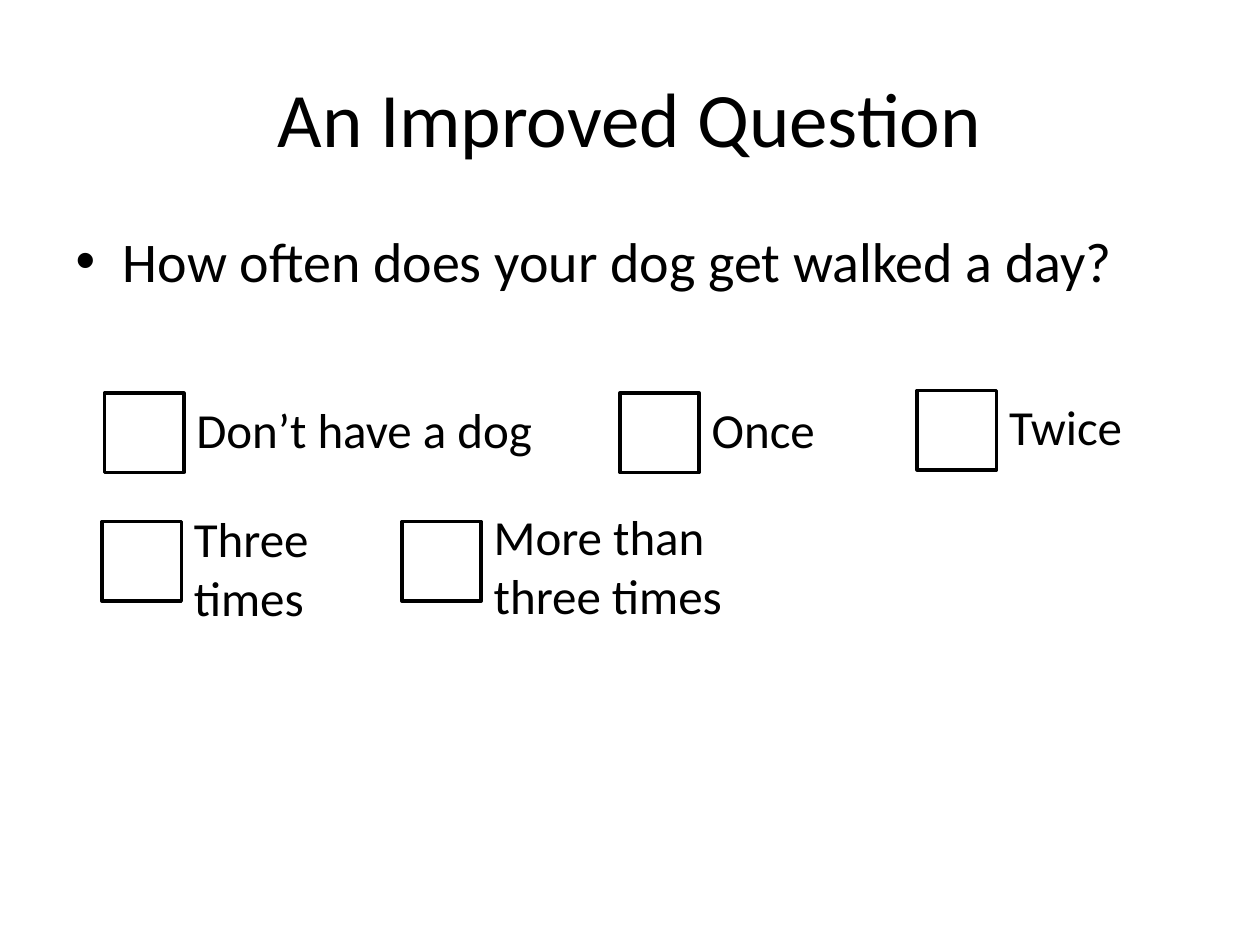
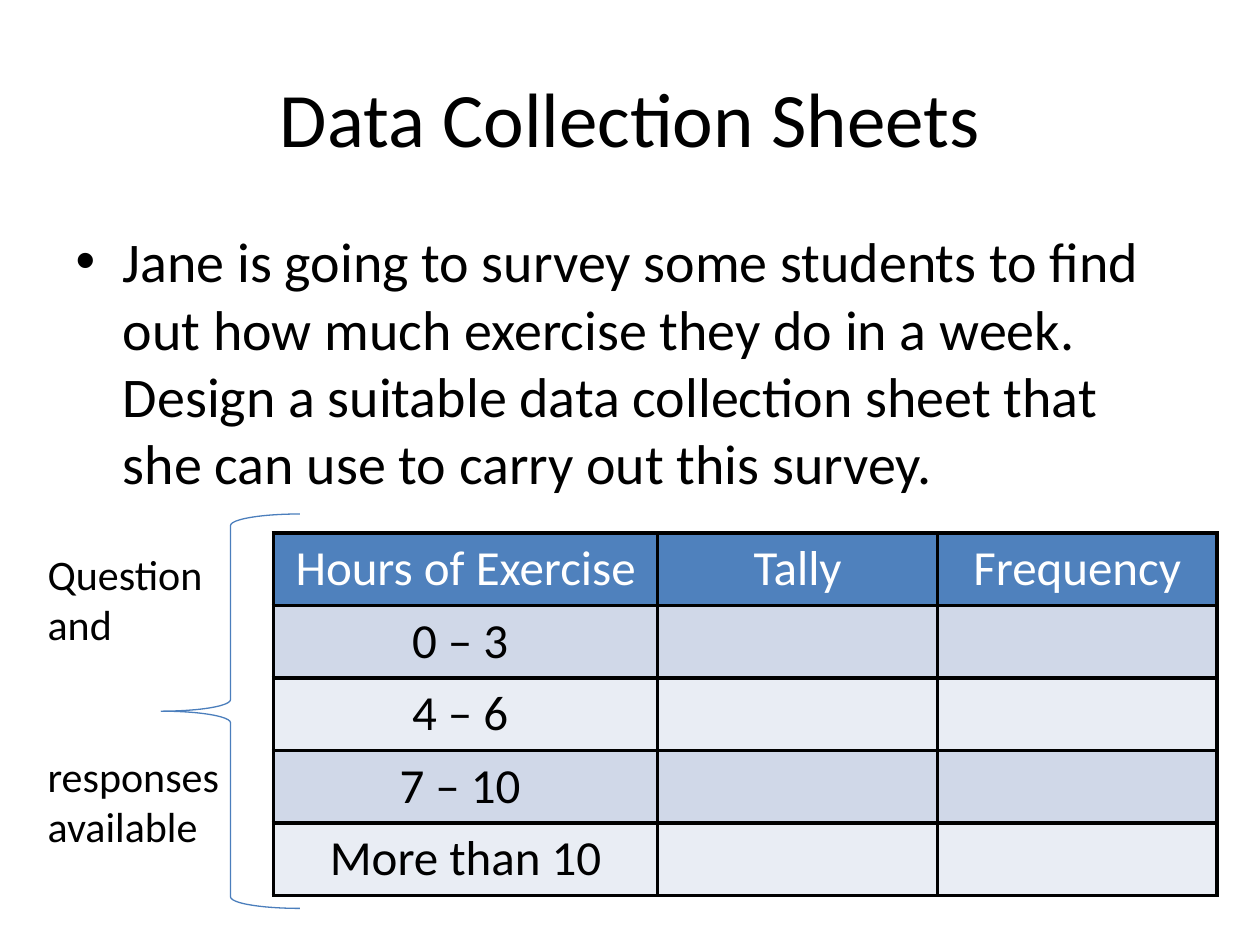
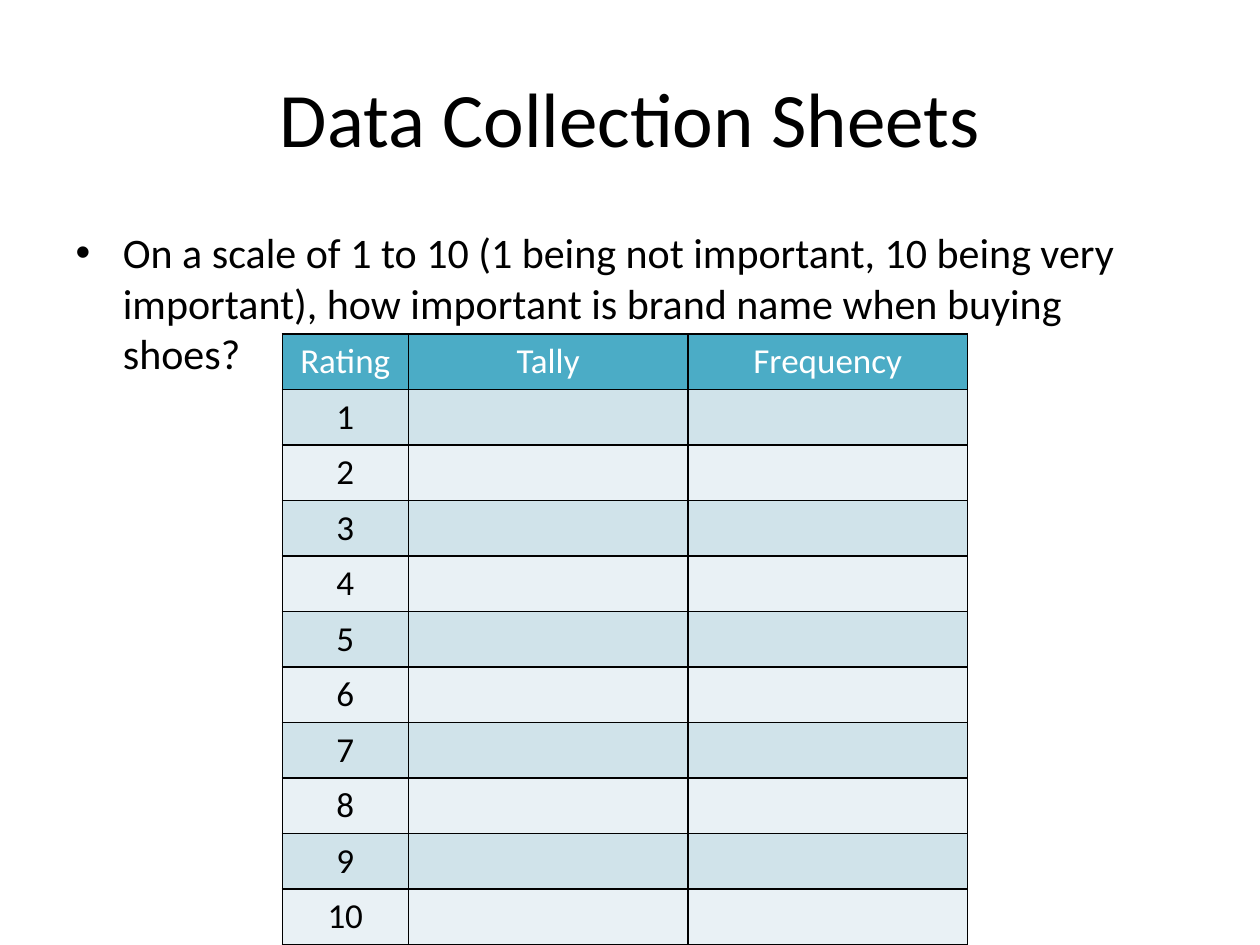
"""Builds three slides on survey questions and data collection sheets."""
from lxml import etree
from pptx import Presentation
from pptx.dml.color import RGBColor
from pptx.enum.shapes import MSO_SHAPE
from pptx.enum.text import MSO_ANCHOR, MSO_AUTO_SIZE, PP_ALIGN
from pptx.oxml.ns import qn
from pptx.util import Inches, Pt

RECT, BRACE = MSO_SHAPE.RECTANGLE, MSO_SHAPE.LEFT_BRACE
CENTER, LEFT = PP_ALIGN.CENTER, PP_ALIGN.LEFT
MIDDLE, TOP = MSO_ANCHOR.MIDDLE, MSO_ANCHOR.TOP
NO_FIT = MSO_AUTO_SIZE.NONE

FONT = "Calibri"
COLORS = {
    "text": "000000", "header_text": "FFFFFF", "brace": "4B7EBC",
    "blue": "4F81BD", "blue_dark": "D0D8E8", "blue_light": "E9EDF4",
    "teal": "4BACC6", "teal_dark": "D0E3EA", "teal_light": "E9F1F5",
}

TITLE_AT = (0.5, 0.3, 9, 1.25)
BODY_AT = (0.5, 1.75, 9, 4.95)

SLIDES = [
    ("An Improved Question", "How often does your dog get walked a day?", 32),
    ("Data Collection Sheets",
     "Jane is going to survey some students to find out how much exercise "
     "they do in a week. Design a suitable data collection sheet that she "
     "can use to carry out this survey.", 32),
    ("Data Collection Sheets",
     "On a scale of 1 to 10 (1 being not important, 10 being very "
     "important), how important is brand name when buying shoes?", 24),
]

BOX = 0.63
OPTIONS = [
    ("Don’t have a dog", 0.83, 3.12, 3.12, 3.35, 0.57),
    ("Once", 4.92, 3.12, 3.12, 1.42, 0.57),
    ("Twice", 7.28, 3.1, 3.1, 1.42, 0.57),
    ("Three times", 0.81, 4.14, 3.99, 1.98, 1.04),
    ("More than three times", 3.19, 4.14, 3.97, 2.28, 1.04),
]

EXERCISE = {
    "heads": ["Hours of Exercise", "Tally", "Frequency"],
    "labels": ["0 – 3 ", "4 – 6 ", "7 – 10 ", "More than 10"],
    "at": (2.17, 4.23), "cols": [3.05, 2.22, 2.22], "row": 0.57,
    "size": 28, "border": 2.25, "theme": "blue",
}
RATING = {
    "heads": ["Rating", "Tally", "Frequency"],
    "labels": [str(n) for n in range(1, 11)],
    "at": (2.24, 2.65), "cols": [1, 2.22, 2.22], "row": 0.44,
    "size": 20, "border": 1, "theme": "teal",
}

BRACE_AT = (1.28, 4.08, 1.1, 3.13)
BRACE_LABEL = ["Question and", "responses available"]
BRACE_LABEL_AT = (0.28, 4.3, 1.57, 2.52)
BRACE_LABEL_GAP = 58


def rgb(name):
    return RGBColor.from_string(COLORS[name])


def write(p, text, size, color="text", align=LEFT):
    p.alignment = align
    r = p.add_run()
    r.text = text
    r.font.name = FONT
    r.font.size = Pt(size)
    r.font.color.rgb = rgb(color)


def place(sp, at):
    sp.left, sp.top, sp.width, sp.height = map(Inches, at)


def fill_placeholder(sp, at, text, size, align, anchor):
    place(sp, at)
    tf = sp.text_frame
    tf.auto_size = NO_FIT
    tf.vertical_anchor = anchor
    p = tf.paragraphs[0]
    p.space_before = Pt(0)
    write(p, text, size, align=align)


def add_slide(prs, title, body, size):
    s = prs.slides.add_slide(prs.slide_layouts[1])
    fill_placeholder(s.shapes.title, TITLE_AT, title, 44, CENTER, MIDDLE)
    fill_placeholder(s.placeholders[1], BODY_AT, body, size, LEFT, TOP)
    return s


def add_outline(s, kind, at, color, width):
    sp = s.shapes.add_shape(kind, *map(Inches, at))
    sp.shadow.inherit = False
    sp.fill.background()
    sp.line.color.rgb = rgb(color)
    sp.line.width = Pt(width)


def add_label(s, at, lines, size, gap=0):
    tf = s.shapes.add_textbox(*map(Inches, at)).text_frame
    tf.word_wrap = True
    for i, line in enumerate(lines):
        p = tf.add_paragraph() if i else tf.paragraphs[0]
        if i:
            p.space_before = Pt(gap)
        write(p, line, size)


def add_borders(cell, width):
    tc_pr = cell._tc.get_or_add_tcPr()
    for side in ("a:lnL", "a:lnR", "a:lnT", "a:lnB"):
        ln = etree.SubElement(tc_pr, qn(side), w=str(Pt(width)))
        fill = etree.SubElement(ln, qn("a:solidFill"))
        etree.SubElement(fill, qn("a:srgbClr"), val=COLORS["text"])


def add_sheet(s, sheet):
    heads, theme = sheet["heads"], sheet["theme"]
    rows = [heads] + [[label, "", ""] for label in sheet["labels"]]
    at = (*sheet["at"], sum(sheet["cols"]), sheet["row"] * len(rows))
    table = s.shapes.add_table(len(rows), len(heads), *map(Inches, at)).table
    for col, width in zip(table.columns, sheet["cols"]):
        col.width = Inches(width)
    for i, row in enumerate(rows):
        table.rows[i].height = Inches(sheet["row"])
        band = theme + ("_dark" if i % 2 else "_light") if i else theme
        for j, text in enumerate(row):
            cell = table.cell(i, j)
            add_borders(cell, sheet["border"])
            cell.fill.solid()
            cell.fill.fore_color.rgb = rgb(band)
            if text:
                p = cell.text_frame.paragraphs[0]
                write(p, text, sheet["size"], "text" if i else "header_text", CENTER)
                p.runs[0].font.bold = False


def main():
    prs = Presentation()
    prs.slide_width, prs.slide_height = Inches(10), Inches(7.5)
    question, exercise, rating = [add_slide(prs, *row) for row in SLIDES]

    for text, left, top, label_top, width, height in OPTIONS:
        add_outline(question, RECT, (left, top, BOX, BOX), "text", 2)
        add_label(question, (left + BOX, label_top, width, height), [text], 28)

    add_sheet(exercise, EXERCISE)
    add_outline(exercise, BRACE, BRACE_AT, "brace", 0.75)
    add_label(exercise, BRACE_LABEL_AT, BRACE_LABEL, 24, BRACE_LABEL_GAP)

    add_sheet(rating, RATING)
    prs.save("out.pptx")


if __name__ == "__main__":
    main()
